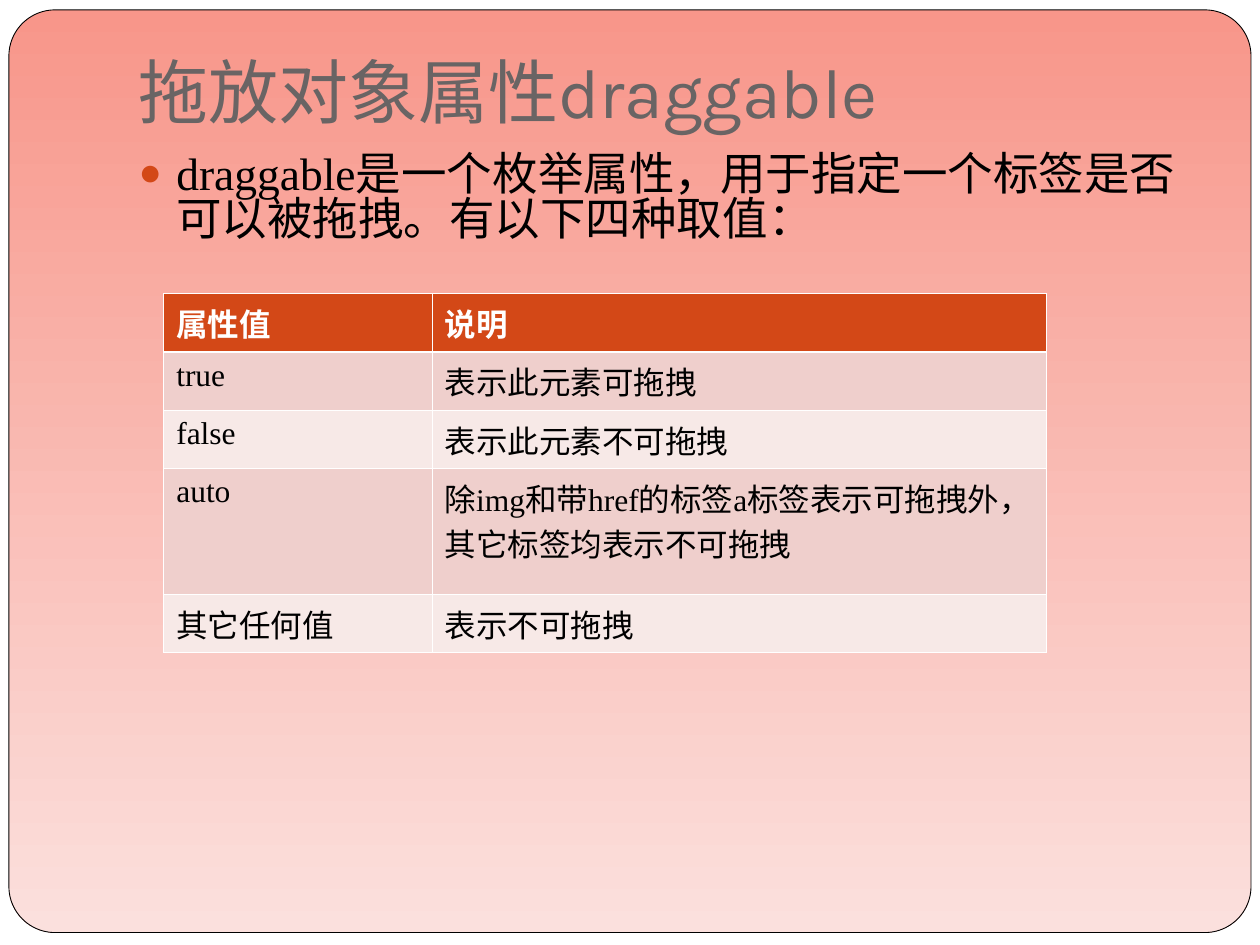
import lxml.etree
import pptx
import pptx.dml.color
import pptx.enum.shapes
import pptx.enum.text
import pptx.oxml.ns
import pptx.util

Cm, Pt = pptx.util.Cm, pptx.util.Pt
COLORS = {
    "top": "F8968A", "bottom": "FBE0DD", "title": "696464", "accent": "D34817",
    "text": "000000", "white": "FFFFFF", "odd": "EFCFCC", "even": "F7E9E7",
}
ROWS = [
    ("属性值", "说明"),
    ("true", "表示此元素可拖拽"),
    ("false", "表示此元素不可拖拽"),
    ("auto", "除img和带href的标签a标签表示可拖拽外，其它标签均表示不可拖拽"),
    ("其它任何值", "表示不可拖拽"),
]
ROW_HEIGHTS = [1.02, 1.04, 1.04, 2.54, 1.04]
COL_SHARES = [0.304, 0.696]


def rgb(name):
    """Return the named palette colour."""
    return pptx.dml.color.RGBColor.from_string(COLORS[name])


def apply(obj, values):
    """Set attributes of an object from a dict."""
    for name, value in values.items():
        setattr(obj, name, value)


def place(sp, box):
    """Move a shape to a box given in centimetres."""
    apply(sp, dict(zip(("left", "top", "width", "height"), map(Cm, box))))


def style(p, color, **values):
    """Format the font of a paragraph's runs."""
    for r in p.runs:
        apply(r.font, values)
        r.font.color.rgb = rgb(color)


def child(parent, tag, **attributes):
    """Append a DrawingML element."""
    return lxml.etree.SubElement(parent, pptx.oxml.ns.qn(tag), attributes)


def add_frame(s, box):
    """Draw the rounded gradient panel behind the content."""
    sp = s.shapes.add_shape(pptx.enum.shapes.MSO_SHAPE.ROUNDED_RECTANGLE, *map(Cm, box))
    sp.shadow.inherit = False
    sp.adjustments[0] = 0.05
    sp.fill.gradient()
    sp.fill.gradient_angle = 270
    for stop, name in zip(sp.fill.gradient_stops, ("top", "bottom")):
        stop.color.rgb = rgb(name)
    sp.line.color.rgb = rgb("text")
    sp.line.width = Pt(0.5)
    s.shapes._spTree.insert(2, sp._element)


def add_title(s, box):
    """Fill the title placeholder."""
    sp = s.shapes.title
    place(sp, box)
    tf = sp.text_frame
    apply(tf, {
        "text": "拖放对象属性draggable", "word_wrap": True,
        "auto_size": pptx.enum.text.MSO_AUTO_SIZE.NONE,
        "vertical_anchor": pptx.enum.text.MSO_ANCHOR.BOTTOM,
        "margin_bottom": Cm(0.25),
    })
    p = tf.paragraphs[0]
    p.alignment = pptx.enum.text.PP_ALIGN.LEFT
    style(p, "title", name="Karla", size=Pt(40))


def add_body(s, box):
    """Fill the body placeholder with one bulleted paragraph."""
    sp = s.placeholders[1]
    place(sp, box)
    tf = sp.text_frame
    apply(tf, {
        "text": "draggable是一个枚举属性，用于指定一个标签是否可以被拖拽。有以下四种取值：",
        "word_wrap": True, "auto_size": pptx.enum.text.MSO_AUTO_SIZE.NONE,
        "margin_top": Cm(0.2),
    })
    p = tf.paragraphs[0]
    pPr = p._p.get_or_add_pPr()
    pPr.set("marL", str(Cm(0.76)))
    pPr.set("indent", str(-Cm(0.76)))
    child(child(pPr, "a:buClr"), "a:srgbClr", val=COLORS["accent"])
    child(pPr, "a:buSzPct", val="85000")
    child(pPr, "a:buChar", char="●")
    apply(p, {"space_before": Pt(0), "line_spacing": 0.82})
    style(p, "text", name="Times New Roman", size=Pt(26))


def add_borders(cell, widths):
    """Give a cell white borders, with widths in points by side."""
    tcPr = cell._tc.get_or_add_tcPr()
    for side, width in widths.items():
        ln = child(tcPr, f"a:ln{side}", w=str(Pt(width)))
        child(child(ln, "a:solidFill"), "a:srgbClr", val=COLORS["white"])


def add_value_table(s, box):
    """Add the table of attribute values."""
    table = s.shapes.add_table(len(ROWS), len(COL_SHARES), *map(Cm, box)).table
    for column, share in zip(table.columns, COL_SHARES):
        column.width = Cm(round(box[2] * share, 2))
    for i, (row, height, texts) in enumerate(zip(table.rows, ROW_HEIGHTS, ROWS)):
        row.height = Cm(height)
        header = i == 0
        fill = "accent" if header else "odd" if i % 2 else "even"
        widths = {"L": 0.45, "R": 0.45, "T": 1.47 if i == 1 else 0.45, "B": 1.47 if header else 0.45}
        for cell, text in zip(row.cells, texts):
            cell.text = text
            add_borders(cell, widths)
            cell.fill.solid()
            cell.fill.fore_color.rgb = rgb(fill)
            style(cell.text_frame.paragraphs[0], "white" if header else "text",
                  name="Times New Roman", size=Pt(18), bold=header)


def main():
    """Build and save the slide."""
    prs = pptx.Presentation()
    apply(prs, {"slide_width": Cm(25.4), "slide_height": Cm(19.05)})
    s = prs.slides.add_slide(prs.slide_layouts[1])
    s.background.fill.solid()
    s.background.fill.fore_color.rgb = rgb("white")
    add_frame(s, (0.18, 0.2, 25.04, 18.6))
    add_title(s, (2.54, 0.76, 21.59, 2.16))
    add_body(s, (2.54, 2.92, 21.59, 13.79))
    add_value_table(s, (3.3, 5.92, 17.8, sum(ROW_HEIGHTS)))
    prs.save("out.pptx")


if __name__ == "__main__":
    main()
